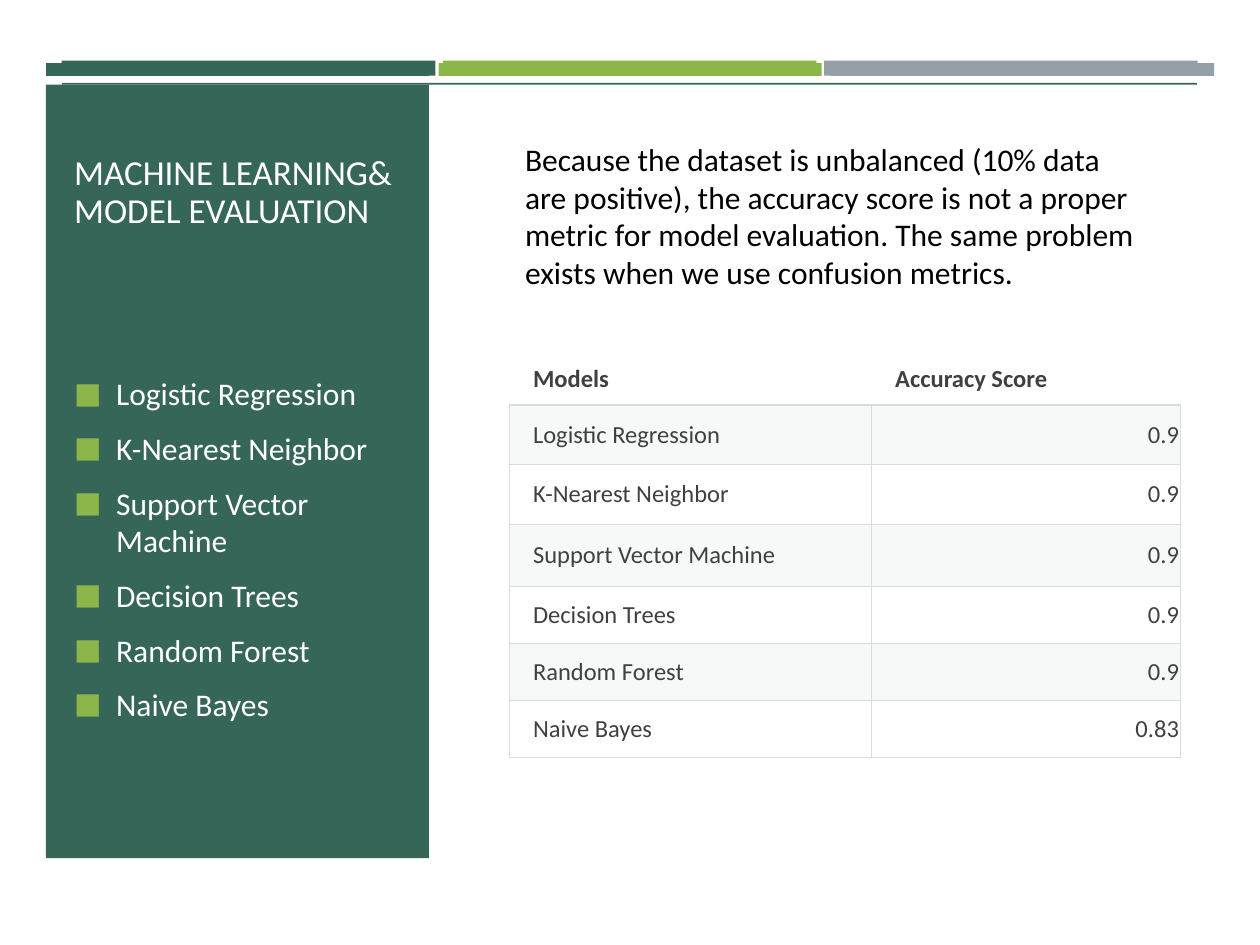
from dataclasses import dataclass

from lxml.etree import SubElement
from pptx import Presentation
from pptx.dml.color import RGBColor
from pptx.enum.shapes import MSO_SHAPE
from pptx.enum.text import MSO_ANCHOR, PP_ALIGN
from pptx.oxml.ns import qn
from pptx.util import Pt


@dataclass(frozen=True)
class Theme:
    font: str = "Calibri"
    green: str = "366658"
    lime: str = "8CB64A"
    gray: str = "969FA7"
    white: str = "FFFFFF"
    black: str = "000000"
    ink: str = "404040"
    rule: str = "D8DCDC"
    band: str = "D8DEDC"
    title: float = 20
    body: float = 18
    cell: float = 14


THEME = Theme()
MODELS = [
    ("Logistic Regression", "0.9"),
    ("K-Nearest Neighbor", "0.9"),
    ("Support Vector Machine", "0.9"),
    ("Decision Trees", "0.9"),
    ("Random Forest", "0.9"),
    ("Naive Bayes", "0.83"),
]
NOTE = (
    "Because the dataset is unbalanced (10% data are positive), "
    "the accuracy score is not a proper metric for model evaluation. "
    "The same problem exists when we use confusion metrics."
)


def add_rect(slide, box, color):
    shape = slide.shapes.add_shape(MSO_SHAPE.RECTANGLE, *map(Pt, box))
    shape.shadow.inherit = False
    shape.fill.solid()
    shape.fill.fore_color.rgb = RGBColor.from_string(color)
    shape.line.fill.background()


def add_bars(slide, left, top, width, height, step):
    for i, color in enumerate((THEME.green, THEME.lime, THEME.gray)):
        add_rect(slide, (left + i * step, top, width, height), color)


def add_run(para, text, size, color, bold=False):
    run = para.add_run()
    run.text = text
    run.font.name = THEME.font
    run.font.size = Pt(size)
    run.font.bold = bold
    run.font.color.rgb = RGBColor.from_string(color)


def add_text(slide, box, lines, size, color, anchor):
    frame = slide.shapes.add_textbox(*map(Pt, box)).text_frame
    frame.word_wrap = True
    frame.vertical_anchor = anchor
    for i, line in enumerate(lines):
        para = frame.add_paragraph() if i else frame.paragraphs[0]
        add_run(para, line, size, color)
    return frame.paragraphs


def add_bullet(para):
    para.space_before = Pt(3.6)
    para.space_after = Pt(6)
    props = para._p.get_or_add_pPr()
    props.set("marL", str(Pt(24)))
    props.set("indent", str(-Pt(24)))
    color = SubElement(props, qn("a:buClr"))
    SubElement(color, qn("a:srgbClr"), val=THEME.lime)
    SubElement(props, qn("a:buSzPct"), val="92000")
    SubElement(props, qn("a:buFont"), typeface=THEME.font)
    SubElement(props, qn("a:buChar"), char="■")


def add_edges(cell, sides):
    props = cell._tc.get_or_add_tcPr()
    for side in sides:
        line = SubElement(props, qn(f"a:ln{side}"), w=str(Pt(0.75)))
        fill = SubElement(line, qn("a:solidFill"))
        SubElement(fill, qn("a:srgbClr"), val=THEME.rule)


def fill_band(cell):
    cell.fill.solid()
    cell.fill.fore_color.rgb = RGBColor.from_string(THEME.band)
    color = cell._tc.tcPr.find(f"{qn('a:solidFill')}/{qn('a:srgbClr')}")
    SubElement(color, qn("a:alpha"), val="20000")


def set_cell(cell, text, row, col):
    head = row == 0
    cell.margin_left, cell.margin_right = Pt(13.6), Pt(0.7)
    cell.margin_top = cell.margin_bottom = Pt(6.5)
    cell.vertical_anchor = MSO_ANCHOR.BOTTOM if head else MSO_ANCHOR.MIDDLE
    para = cell.text_frame.paragraphs[0]
    para.alignment = PP_ALIGN.RIGHT if col and not head else PP_ALIGN.LEFT
    add_run(para, text, THEME.cell, THEME.ink, head)
    add_edges(cell, "B" if head else "LRTB")
    if row % 2:
        fill_band(cell)
    else:
        cell.fill.background()


def add_grid(slide, left, top, widths, heights, rows):
    box = (left, top, sum(widths), sum(heights))
    grid = slide.shapes.add_table(len(rows), len(widths), *map(Pt, box)).table
    grid.first_row = grid.horz_banding = False
    for col, width in zip(grid.columns, widths):
        col.width = Pt(width)
    for line, height in zip(grid.rows, heights):
        line.height = Pt(height)
    for i, row in enumerate(rows):
        for j, text in enumerate(row):
            set_cell(grid.cell(i, j), text, i, j)


def main():
    deck = Presentation()
    deck.slide_width, deck.slide_height = Pt(720), Pt(540)
    slide = deck.slides.add_slide(deck.slide_layouts[6])

    add_bars(slide, 35.3, 34.6, 213.5, 8.6, 217.8)
    add_rect(slide, (35.3, 47.4, 648.7, 99.4), THEME.green)
    add_bars(slide, 26.4, 36, 218.9, 7.4, 224.3)
    add_rect(slide, (0, 48.4, 720, 491.6), THEME.white)
    add_rect(slide, (26.2, 48.4, 218.9, 442), THEME.green)

    add_text(slide, (35.3, 55.4, 201.6, 80),
             ["MACHINE LEARNING& MODEL EVALUATION"],
             THEME.title, THEME.white, MSO_ANCHOR.BOTTOM)[0].line_spacing = 0.9
    names = [name for name, _ in MODELS]
    for para in add_text(slide, (35.3, 154.8, 201.6, 317.5), names,
                         THEME.body, THEME.white, MSO_ANCHOR.MIDDLE):
        add_bullet(para)
    add_grid(slide, 291, 198.8, (207, 176.4),
             (32.6, 34, 34.4, 35.3, 32.6, 32.8, 32.6),
             [("Models", "Accuracy Score"), *MODELS])
    add_text(slide, (293, 76.3, 364.3, 94.3), [NOTE],
             THEME.body, THEME.black, MSO_ANCHOR.TOP)

    deck.save("out.pptx")


if __name__ == "__main__":
    main()
